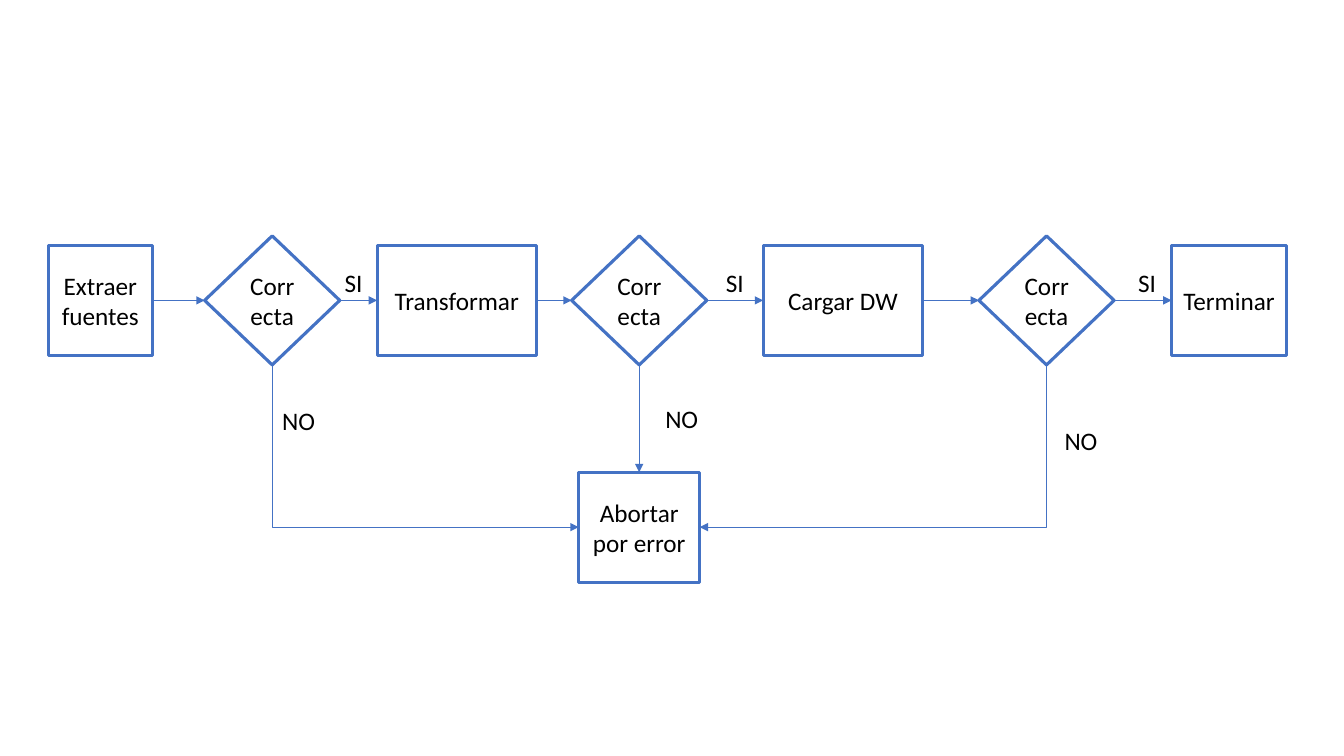
from dataclasses import dataclass

from lxml.etree import SubElement
from pptx import Presentation
from pptx.dml.color import RGBColor
from pptx.enum.shapes import MSO_CONNECTOR as Connector, MSO_SHAPE as Shape
from pptx.enum.text import MSO_ANCHOR as Anchor, MSO_AUTO_SIZE as AutoSize, PP_ALIGN as Align
from pptx.oxml.ns import qn
from pptx.util import Inches, Pt

TOP, LEFT, BOTTOM, RIGHT = range(4)
FLOW_MIDDLE = 2.98
ABORT_MIDDLE = 5.23
BOX_HEIGHT = 1.09
DIAMOND_WIDTH, DIAMOND_HEIGHT = 1.34, 1.28


@dataclass(frozen=True)
class Theme:
    """Colours, font and sizes of the slide."""
    blue: RGBColor = RGBColor(0x44, 0x72, 0xC4)
    white: RGBColor = RGBColor(0xFF, 0xFF, 0xFF)
    black: RGBColor = RGBColor(0, 0, 0)
    font: str = "Calibri"
    text_size: Pt = Pt(18)
    outline: Pt = Pt(2.25)
    arrow: Pt = Pt(0.5)


THEME = Theme()


def add_text(paragraph, text):
    """Add one formatted run to a paragraph."""
    run = paragraph.add_run()
    run.text = text
    run.font.name = THEME.font
    run.font.size = THEME.text_size
    run.font.color.rgb = THEME.black


def add_node(slide, kind, text, left, middle, width, height):
    """Add an outlined flowchart node centred on a horizontal line."""
    shape = slide.shapes.add_shape(
        kind, Inches(left), Inches(middle - height / 2), Inches(width), Inches(height))
    shape.shadow.inherit = False
    shape.fill.solid()
    shape.fill.fore_color.rgb = THEME.white
    shape.line.color.rgb = THEME.blue
    shape.line.width = THEME.outline
    frame = shape.text_frame
    frame.word_wrap = True
    frame.vertical_anchor = Anchor.MIDDLE
    paragraph = frame.paragraphs[0]
    paragraph.alignment = Align.CENTER
    add_text(paragraph, text)
    return shape


def add_box(slide, text, left, width, middle=FLOW_MIDDLE):
    """Add a process step."""
    return add_node(slide, Shape.RECTANGLE, text, left, middle, width, BOX_HEIGHT)


def add_decision(slide, left):
    """Add a check on the previous step."""
    return add_node(slide, Shape.DIAMOND, "Correcta", left, FLOW_MIDDLE,
                    DIAMOND_WIDTH, DIAMOND_HEIGHT)


def add_arrow(slide, source, source_site, target, target_site, kind=Connector.STRAIGHT):
    """Glue an arrow between two nodes."""
    arrow = slide.shapes.add_connector(kind, 0, 0, 0, 0)
    arrow.begin_connect(source, source_site)
    arrow.end_connect(target, target_site)
    arrow.line.color.rgb = THEME.blue
    arrow.line.width = THEME.arrow
    properties = arrow.element.spPr
    SubElement(properties.find(qn("a:ln")), qn("a:tailEnd"), type="triangle")
    SubElement(properties, qn("a:effectLst"))
    return arrow


def add_corner_arrow(slide, source, target, target_site):
    """Add an arrow that goes down from a node, then sideways into another."""
    arrow = add_arrow(slide, source, BOTTOM, target, target_site, Connector.ELBOW)
    across = abs(arrow.end_x - arrow.begin_x)
    down = arrow.end_y - arrow.begin_y
    centre_x = (arrow.begin_x + arrow.end_x) // 2
    centre_y = (arrow.begin_y + arrow.end_y) // 2
    arrow.left, arrow.top = centre_x - down // 2, centre_y - across // 2
    arrow.width, arrow.height = down, across
    heads_right = target_site == LEFT
    properties = arrow.element.spPr
    transform = properties.find(qn("a:xfrm"))
    transform.set("rot", str((270 if heads_right else 90) * 60000))
    transform.set("flipH", "1" if heads_right else "0")
    properties.find(qn("a:prstGeom")).set("prst", "bentConnector2")


def add_label(slide, text, left, top, width):
    """Add the answer beside an arrow."""
    box = slide.shapes.add_textbox(Inches(left), Inches(top), Inches(width), Inches(0.4))
    frame = box.text_frame
    frame.word_wrap = False
    frame.auto_size = AutoSize.SHAPE_TO_FIT_TEXT
    add_text(frame.paragraphs[0], text)


def main():
    """Build the load process flowchart and save it."""
    presentation = Presentation()
    presentation.slide_width, presentation.slide_height = Inches(13.33), Inches(7.5)
    slide = presentation.slides.add_slide(presentation.slide_layouts[6])

    extract = add_box(slide, "Extraer fuentes", 0.48, 1.03)
    extract_check = add_decision(slide, 2.03)
    transform = add_box(slide, "Transformar", 3.74, 1.58)
    transform_check = add_decision(slide, 5.67)
    load = add_box(slide, "Cargar DW", 7.57, 1.58)
    load_check = add_decision(slide, 9.71)
    finish = add_box(slide, "Terminar", 11.62, 1.14)
    abort = add_box(slide, "Abortar por error", 5.74, 1.2, ABORT_MIDDLE)

    add_corner_arrow(slide, extract_check, abort, LEFT)
    add_corner_arrow(slide, load_check, abort, RIGHT)
    flow = [extract, extract_check, transform, transform_check, load, load_check, finish]
    for source, target in zip(flow, flow[1:]):
        add_arrow(slide, source, RIGHT, target, LEFT)
    add_arrow(slide, transform_check, BOTTOM, abort, TOP)

    for left, top in ((10.46, 4.17), (2.7, 3.97), (6.5, 3.95)):
        add_label(slide, "NO", left, top, 0.53)
    for left in (3.32, 7.1, 11.19):
        add_label(slide, "SI", left, 2.6, 0.38)

    presentation.save("out.pptx")


main()
